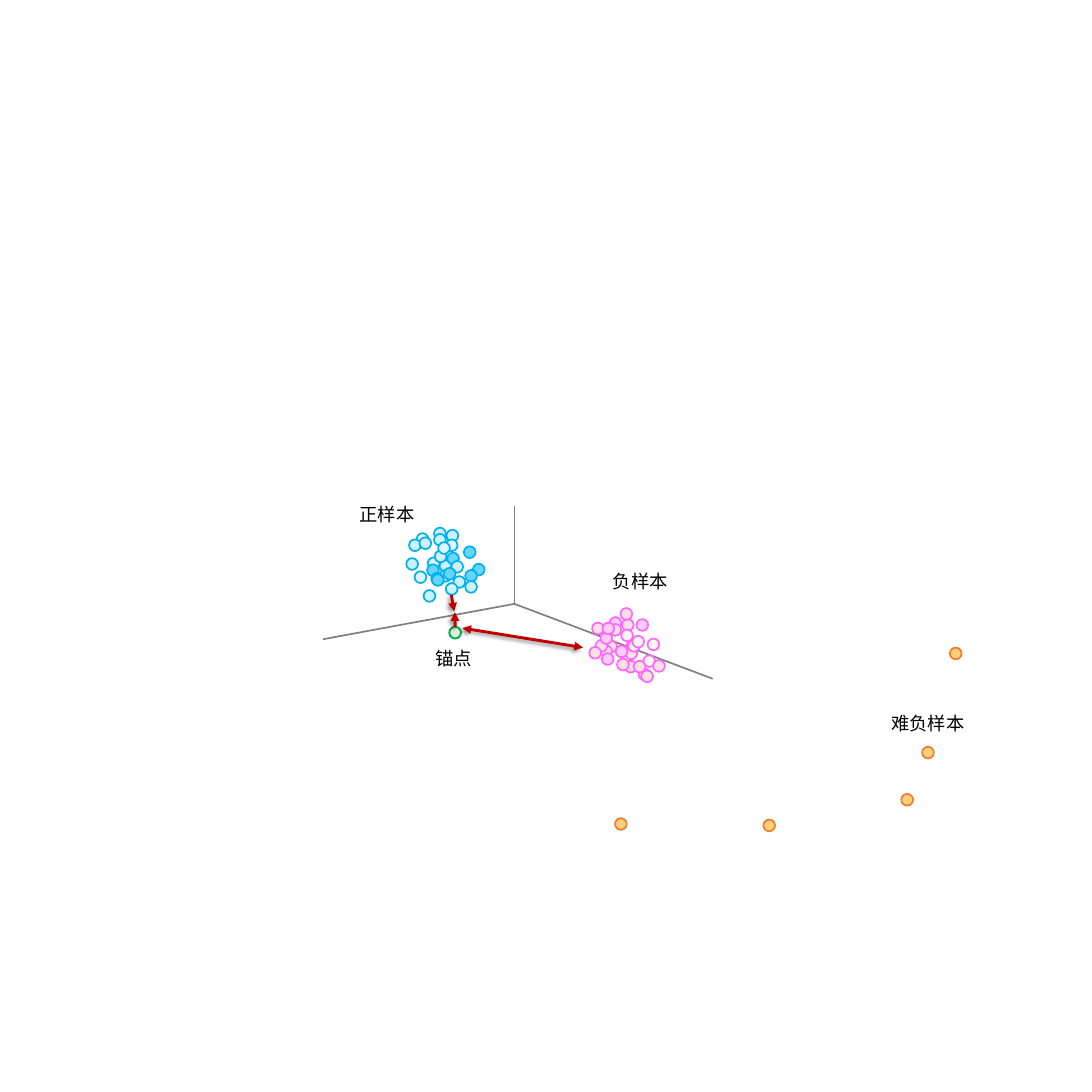
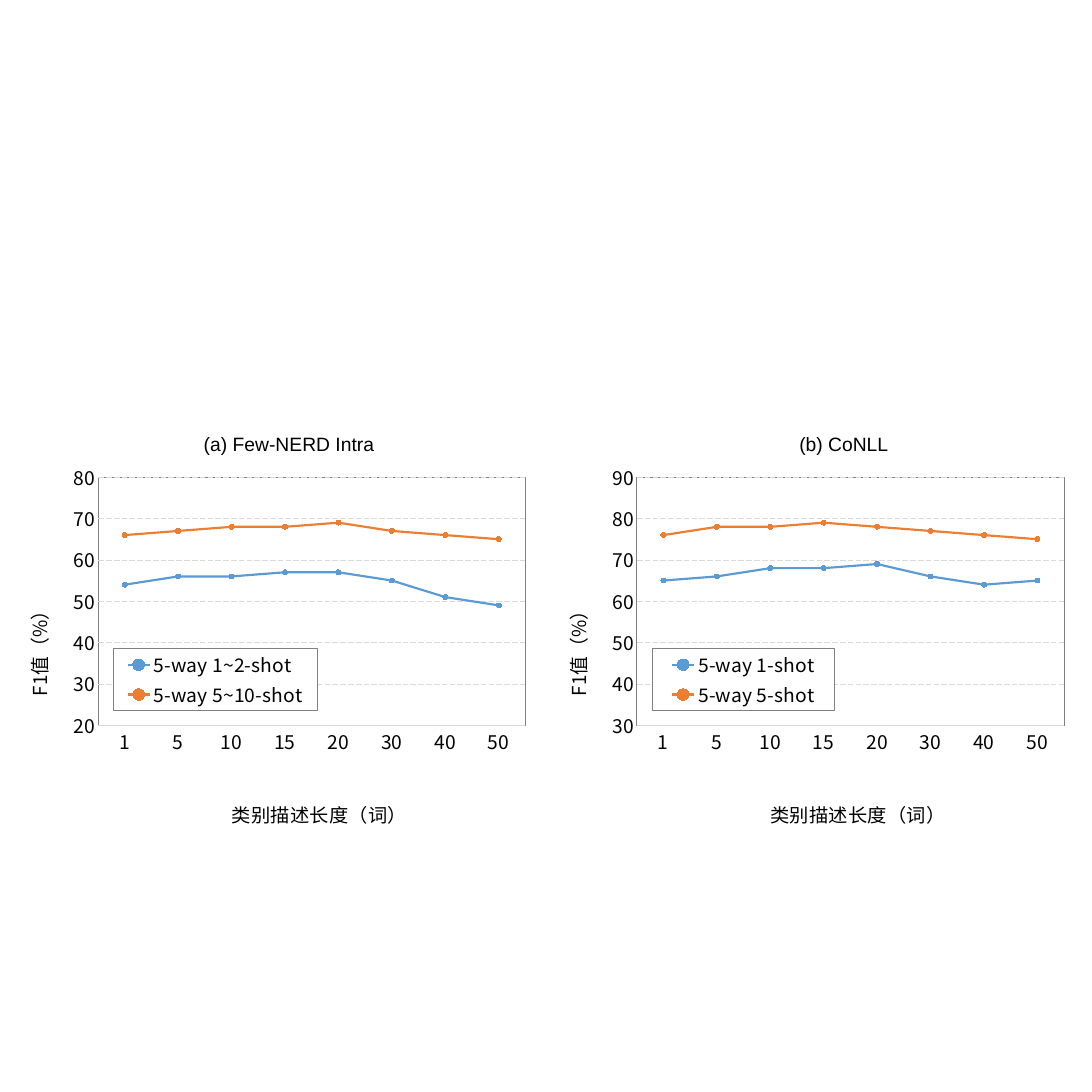
from lxml import etree
from pptx import Presentation
from pptx import util as u
from pptx.chart import data
from pptx.dml import color
from pptx.enum import chart as ce, dml, shapes, text
from pptx.oxml import ns, parse_xml

Inches, Pt = u.Inches, u.Pt
CJK, LATIN = "Noto Sans CJK SC", "Arial"
BLACK, WHITE, GREY, PALE_GREY = "000000", "FFFFFF", "808080", "D9D9D9"
BLUE, ORANGE, RED = "5B9BD5", "ED7D31", "C00000"
DOT = 0.17
ORIGIN = (7.42, 8.71)
AXIS_ENDS = [(7.42, 7.3), (4.66, 9.22), (10.28, 9.79)]
CYAN_FILLS = ["CDF2FF", "DDF6FF", "65D7FF"]
PINK_FILLS = ["FFE1E1", "FFF3F3", "FFCCFF"]

POSITIVES = [
    (6.17, 8.04, 1), (6.34, 8.08, 0), (6.34, 8.22, 0), (6.82, 8.13, 2),
    (6.45, 7.97, 2), (6.69, 7.88, 2), (6.16, 8.14, 2), (6.51, 8.09, 0),
    (6.22, 8.26, 0), (6.01, 7.69, 1), (6.71, 8.22, 2), (6.4, 8.19, 2),
    (6.27, 7.94, 0), (5.9, 7.78, 0), (6.26, 7.61, 0), (6.44, 7.64, 0),
    (6.43, 7.78, 1), (6.26, 7.7, 0), (6.32, 7.82, 1), (6.54, 8.31, 0),
    (6.23, 8.28, 2), (6.43, 8.41, 0), (6.05, 7.75, 0), (5.98, 8.24, 1),
    (5.86, 8.05, 0), (6.11, 8.51, 0), (6.71, 8.38, 0),
]
NEGATIVES = [
    (8.73, 9.24, 0), (8.66, 9.31, 0), (9.02, 9.34, 0), (9.28, 9.45, 1),
    (9.04, 9.21, 1), (9.06, 9.23, 1), (9.18, 8.93, 2), (9.12, 9.17, 1),
    (9.01, 9.53, 0), (8.54, 8.98, 0), (9.42, 9.52, 0), (8.9, 9.5, 0),
    (8.59, 9.23, 0), (8.66, 9.12, 2), (8.79, 8.9, 2), (8.97, 8.93, 0),
    (8.96, 9.08, 1), (8.79, 9, 0), (9.34, 9.21, 1), (9.21, 9.64, 0),
    (8.88, 9.31, 2), (9.14, 9.53, 0), (8.69, 8.98, 2), (8.68, 9.42, 2),
    (8.5, 9.33, 0), (8.95, 8.77, 0), (9.25, 9.67, 0),
]
HARD_NEGATIVES = [
    (8.87, 11.8, 0), (13.7, 9.34, 0), (11.01, 11.82, 0),
    (13.3, 10.77, 0), (13, 11.45, 0),
]
LENGTHS = ["1", "5", "10", "15", "20", "30", "40", "50"]


def rgb(value):
    return color.RGBColor.from_string(value)


def style_font(font, size, name=CJK):
    font.size, font.name, font.bold = Pt(size), name, False
    font.color.rgb = rgb(BLACK)


def style_line(line, hue, width):
    line.color.rgb = rgb(hue)
    line.width = Pt(width)


def copy_latin_to_east_asian(element):
    for latin in list(element.iter(ns.qn("a:latin"))):
        ea = etree.Element(ns.qn("a:ea"), typeface=latin.get("typeface"))
        latin.addnext(ea)


def add_text(s, content, at, size=19, font=CJK):
    sp = s.shapes.add_textbox(*map(Inches, at))
    tf = sp.text_frame
    tf.word_wrap = False
    tf.auto_size = text.MSO_AUTO_SIZE.SHAPE_TO_FIT_TEXT
    r = tf.paragraphs[0].add_run()
    r.text = content
    style_font(r.font, size, font)
    copy_latin_to_east_asian(sp.element)


def add_dot(s, x, y, fill, outline, width=1.75):
    sp = s.shapes.add_shape(shapes.MSO_SHAPE.OVAL, *map(Inches, (x, y, DOT, DOT)))
    sp.shadow.inherit = False
    sp.fill.solid()
    sp.fill.fore_color.rgb = rgb(fill)
    style_line(sp.line, outline, width)
    return sp


def add_cluster(s, dots, fills, outline):
    for x, y, shade in dots:
        add_dot(s, x, y, fills[shade], outline)


def add_line(s, start, end, hue=GREY, width=1.75):
    cxn = s.shapes.add_connector(
        shapes.MSO_CONNECTOR.STRAIGHT, *map(Inches, (*start, *end)))
    style_line(cxn.line, hue, width)
    etree.SubElement(cxn.element.spPr, ns.qn("a:effectLst"))
    return cxn


def add_arrow(s, start, end, ends=("tailEnd",)):
    cxn = add_line(s, start, end, RED, 3)
    sp_pr = cxn.element.spPr
    for tag in ends:
        etree.SubElement(sp_pr.find(ns.qn("a:ln")), ns.qn("a:" + tag), type="triangle")
    sp_pr.find(ns.qn("a:effectLst")).append(parse_xml(
        f'<a:outerShdw {ns.nsdecls("a")} blurRad="{Pt(4)}" dist="{Pt(3)}" '
        f'dir="{135 * 60000}" algn="tr" rotWithShape="0"><a:srgbClr val="{BLACK}">'
        '<a:alpha val="40000"/></a:srgbClr></a:outerShdw>'))
    return cxn


def place(element, index, **box):
    for old in element.findall(ns.qn("c:layout")):
        element.remove(old)
    modes = '<c:xMode val="edge"/><c:yMode val="edge"/>'
    if element.tag == ns.qn("c:plotArea"):
        modes = '<c:layoutTarget val="inner"/>' + modes
    sizes = "".join(f'<c:{key} val="{value}"/>' for key, value in box.items())
    element.insert(index, parse_xml(
        f'<c:layout {ns.nsdecls("c")}><c:manualLayout>{modes}{sizes}'
        '</c:manualLayout></c:layout>'))


def frame(fill):
    return parse_xml(
        f'<c:spPr {ns.nsdecls("c", "a")}>{fill}<a:ln w="{Pt(0.75)}"><a:solidFill>'
        f'<a:srgbClr val="{GREY}"/></a:solidFill></a:ln></c:spPr>')


def style_axis(axis, title):
    axis.major_tick_mark = axis.minor_tick_mark = ce.XL_TICK_MARK.NONE
    style_font(axis.tick_labels.font, 20)
    tf = axis.axis_title.text_frame
    r = tf.paragraphs[0].add_run()
    r.text = title
    style_font(r.font, 20)


def add_f1_chart(s, left, minimum, series, legend_box):
    values = data.CategoryChartData()
    values.categories = LENGTHS
    for name, scores in series:
        values.add_series(name, scores)
    chart = s.shapes.add_chart(
        ce.XL_CHART_TYPE.LINE_MARKERS,
        *map(Inches, (left, 6.62, 7.52, 5.4)), values).chart
    chart.has_title = False
    style_font(chart.font, 20)
    chart.plots[0].vary_by_categories = False
    for line, hue in zip(chart.plots[0].series, (BLUE, ORANGE)):
        line.smooth = False
        style_line(line.format.line, hue, 2.25)
        line.marker.style = ce.XL_MARKER_STYLE.CIRCLE
        line.marker.size = 5
        line.marker.format.fill.solid()
        line.marker.format.fill.fore_color.rgb = rgb(hue)
        style_line(line.marker.format.line, hue, 0.75)

    style_axis(chart.category_axis, "类别描述长度（词）")
    style_line(chart.category_axis.format.line, PALE_GREY, 0.75)
    axis = chart.value_axis
    style_axis(axis, "F1值（%）")
    axis.format.line.fill.background()
    axis.minimum_scale, axis.maximum_scale = minimum, minimum + 60
    axis.major_unit = 10
    grid = axis.major_gridlines.format.line
    style_line(grid, PALE_GREY, 0.75)
    grid.dash_style = dml.MSO_LINE.LONG_DASH

    chart.has_legend = True
    chart.legend.position = ce.XL_LEGEND_POSITION.LEFT
    chart.legend.include_in_layout = True
    style_font(chart.legend.font, 20)

    root = chart.element
    plot_area = root.xpath(".//c:plotArea")[0]
    legend = root.xpath(".//c:legend")[0]
    category_title = root.xpath(".//c:catAx/c:title")[0]
    value_title = root.xpath(".//c:valAx/c:title")[0]
    place(plot_area, 0, x=0.16, y=0.05, w=0.82, h=0.68)
    place(legend, 1, **legend_box)
    place(category_title, 1, x=0.41, y=0.92)
    place(value_title, 1, x=0.01, y=0.38)
    body = value_title.xpath(".//a:bodyPr")[0]
    body.set("rot", "-5400000")
    body.set("vert", "horz")
    plot_area.append(frame("<a:noFill/>"))
    legend.find(ns.qn("c:overlay")).addnext(
        frame(f'<a:solidFill><a:srgbClr val="{WHITE}"/></a:solidFill>'))
    copy_latin_to_east_asian(root)


def build_samples(s):
    for end in AXIS_ENDS:
        add_line(s, ORIGIN, end)
    add_cluster(s, POSITIVES, CYAN_FILLS, "00B0F0")
    add_cluster(s, NEGATIVES, PINK_FILLS, "FF66FF")
    anchor = add_dot(s, 6.48, 9.04, "E2F0D9", "00B050", 2)
    add_arrow(s, (6.67, 9.06), (8.41, 9.34), ("headEnd", "tailEnd"))
    add_arrow(s, (6.57, 9.04), (6.56, 8.83)).begin_connect(anchor, 0)
    add_arrow(s, (6.51, 8.58), (6.55, 8.82))
    add_cluster(s, HARD_NEGATIVES, ["FFCF79"], ORANGE)
    add_text(s, "锚点", (6.18, 9.29, 0.73, 0.42))
    add_text(s, "正样本", (5.09, 7.21, 1, 0.42))
    add_text(s, "负样本", (8.74, 8.17, 1, 0.42))
    add_text(s, "难负样本", (12.76, 10.23, 1.27, 0.42))


def build_scores(s):
    add_f1_chart(s, 0.21, 20, [
        ("5-way 1~2-shot", (54, 56, 56, 57, 57, 55, 51, 49)),
        ("5-way 5~10-shot", (66, 67, 68, 68, 69, 67, 66, 65)),
    ], dict(x=0.19, y=0.52, w=0.39, h=0.17))
    add_f1_chart(s, 7.98, 30, [
        ("5-way 1-shot", (65, 66, 68, 68, 69, 66, 64, 65)),
        ("5-way 5-shot", (76, 78, 78, 79, 78, 77, 76, 75)),
    ], dict(x=0.19, y=0.52, w=0.35, h=0.17))
    add_text(s, "(a) Few-NERD Intra", (2.84, 6.18, 2.68, 0.44), size=20, font=LATIN)
    add_text(s, "(b) CoNLL", (11.43, 6.18, 1.5, 0.44), size=20, font=LATIN)


def main():
    prs = Presentation()
    prs.slide_width = prs.slide_height = Inches(15.75)
    for build in (build_samples, build_scores):
        build(prs.slides.add_slide(prs.slide_layouts[6]))
    prs.save("out.pptx")


if __name__ == "__main__":
    main()
